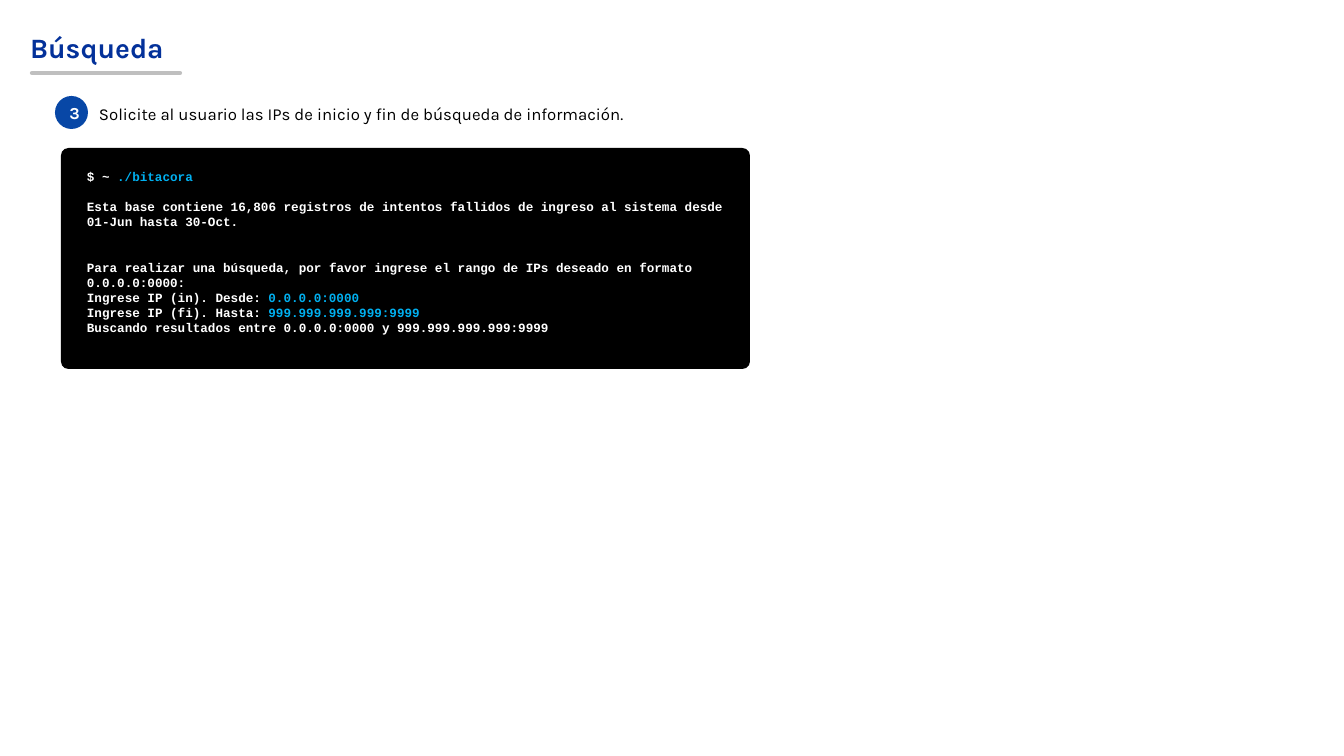
import pptx
import pptx.dml.color
import pptx.enum.shapes
import pptx.enum.text
import pptx.oxml.ns
import pptx.util
from lxml import etree

PX = 914400 / 100.8
COLORS = {
    "title": "03319A",
    "rule": "BFBFBF",
    "badge": "0847A6",
    "white": "FFFFFF",
    "black": "000000",
    "input": "00B0F0",
}
LINE_POINTS = 10.8

# Each terminal line: blank lines above it, then its (text, colour) runs
TERMINAL_LINES = [
    (0, [("$ ~ ", "white"), ("./bitacora", "input")]),
    (1, [("Esta base contiene 16,806 registros de intentos fallidos de ingreso "
          "al sistema desde 01-Jun hasta 30-Oct.", "white")]),
    (2, [("Para realizar una búsqueda, por favor ingrese el rango de IPs deseado "
          "en formato 0.0.0.0:0000:", "white")]),
    (0, [("Ingrese IP (in). Desde: ", "white"), ("0.0.0.0:0000", "input")]),
    (0, [("Ingrese IP (fi). Hasta: ", "white"), ("999.999.999.999:9999", "input")]),
    (0, [("Buscando resultados entre 0.0.0.0:0000 y 999.999.999.999:9999", "white")]),
]


def px(length):
    return pptx.util.Emu(round(length * PX))


def rgb(name):
    return pptx.dml.color.RGBColor.from_string(COLORS[name])


def add_run(paragraph, text, size, color, font="Karla", bold=False):
    run = paragraph.add_run()
    run.text = text
    run.font.name = font
    run.font.size = pptx.util.Pt(size)
    run.font.bold = bold
    run.font.color.rgb = rgb(color)


def set_margins(frame, left, top, right, bottom):
    frame.margin_left, frame.margin_top = px(left), px(top)
    frame.margin_right, frame.margin_bottom = px(right), px(bottom)


def add_filled_shape(slide, kind, box, color):
    shape = slide.shapes.add_shape(kind, *map(px, box))
    shape.shadow.inherit = False
    shape.fill.solid()
    shape.fill.fore_color.rgb = rgb(color)
    shape.line.fill.background()
    return shape


def add_text_frame(slide, box):
    frame = slide.shapes.add_textbox(*map(px, box)).text_frame
    frame.word_wrap = True
    set_margins(frame, 10, 5, 10, 5)
    return frame


def add_heading(slide, box):
    left, top, width, height = box
    # Title
    title = slide.shapes.title
    title.left, title.top, title.width, title.height = map(px, box)
    frame = title.text_frame
    frame.auto_size = pptx.enum.text.MSO_AUTO_SIZE.NONE
    frame.vertical_anchor = pptx.enum.text.MSO_ANCHOR.MIDDLE
    set_margins(frame, 10, 10, 10, 10)
    paragraph = frame.paragraphs[0]
    paragraph.alignment = pptx.enum.text.PP_ALIGN.LEFT
    add_run(paragraph, "Búsqueda", 20, "title", bold=True)

    # Rule under the title
    rule_y = px(top + height - 4)
    rule = slide.shapes.add_connector(
        pptx.enum.shapes.MSO_CONNECTOR.STRAIGHT,
        px(left + 12), rule_y, px(left + 160), rule_y)
    rule.line.color.rgb = rgb("rule")
    rule.line.width = pptx.util.Pt(3)
    line = rule.line._get_or_add_ln()
    line.set("cap", "rnd")
    etree.SubElement(rule._element.spPr, pptx.oxml.ns.qn("a:effectLst"))


def add_step(slide, box):
    left, top, width, height = box
    # Numbered badge
    badge = add_filled_shape(slide, pptx.enum.shapes.MSO_SHAPE.OVAL,
                             (left, top, height, height), "badge")
    frame = badge.text_frame
    frame.vertical_anchor = pptx.enum.text.MSO_ANCHOR.MIDDLE
    set_margins(frame, 6, 5, 0, 5)
    paragraph = frame.paragraphs[0]
    paragraph.alignment = pptx.enum.text.PP_ALIGN.CENTER
    add_run(paragraph, "3", 12, "white", bold=True)

    # Instruction
    frame = add_text_frame(slide, (left + height + 1, top + 3, width - height - 1, 30))
    add_run(frame.paragraphs[0],
            "Solicite al usuario las IPs de inicio y fin de búsqueda de información.",
            12, "black")


def add_terminal(slide, box):
    left, top, width, height = box
    # Window
    window = add_filled_shape(slide, pptx.enum.shapes.MSO_SHAPE.ROUNDED_RECTANGLE,
                              box, "black")
    window.adjustments[0] = 0.034

    # Session
    frame = add_text_frame(slide, (left + 16, top + 16, width - 28, height - 42))
    for index, (blank_lines, runs) in enumerate(TERMINAL_LINES):
        paragraph = frame.paragraphs[0] if index == 0 else frame.add_paragraph()
        paragraph.line_spacing = pptx.util.Pt(LINE_POINTS)
        paragraph.space_before = pptx.util.Pt(blank_lines * LINE_POINTS)
        for text, color in runs:
            add_run(paragraph, text, 9, color, font="Courier New", bold=True)


def main():
    presentation = pptx.Presentation()
    presentation.slide_width, presentation.slide_height = px(1344), px(756)
    slide = presentation.slides.add_slide(presentation.slide_layouts[5])
    add_heading(slide, (20, 17, 514, 60))
    add_step(slide, (55, 96, 760, 33))
    add_terminal(slide, (61, 148, 689, 221))
    presentation.save("out.pptx")


if __name__ == "__main__":
    main()
